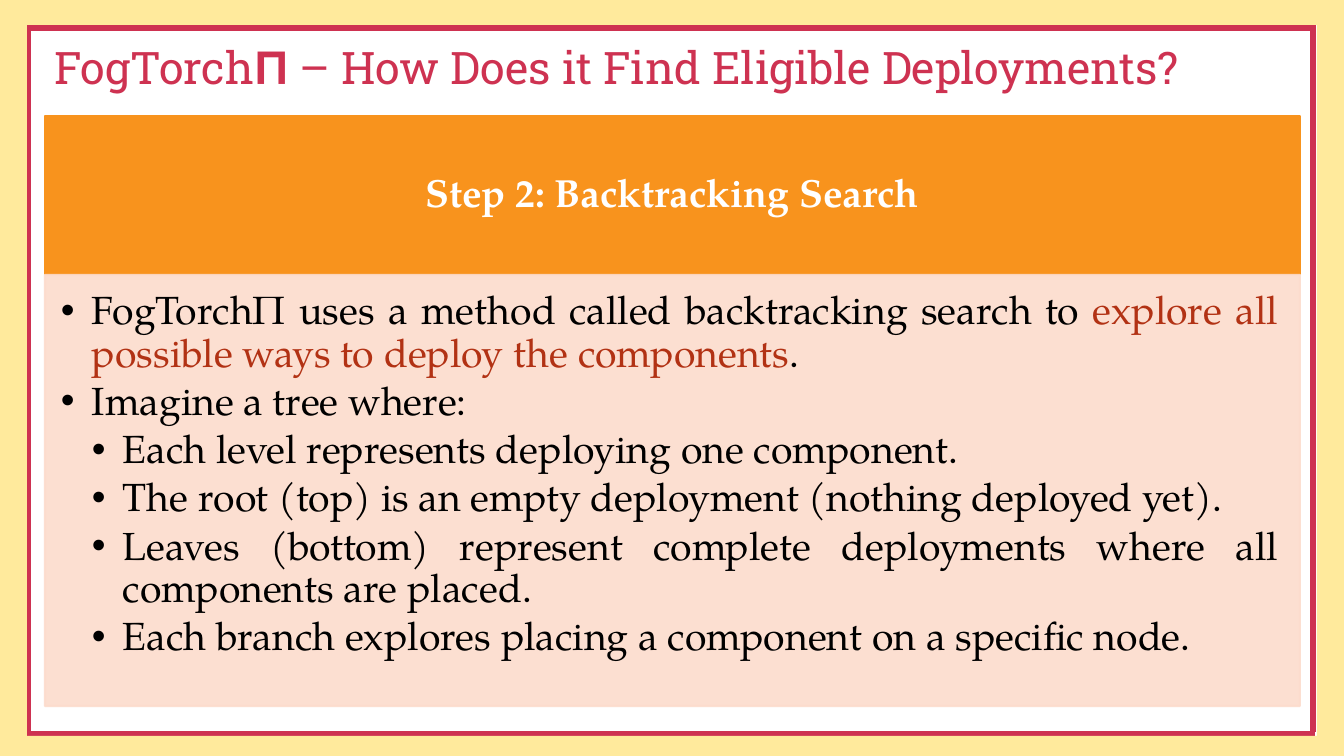
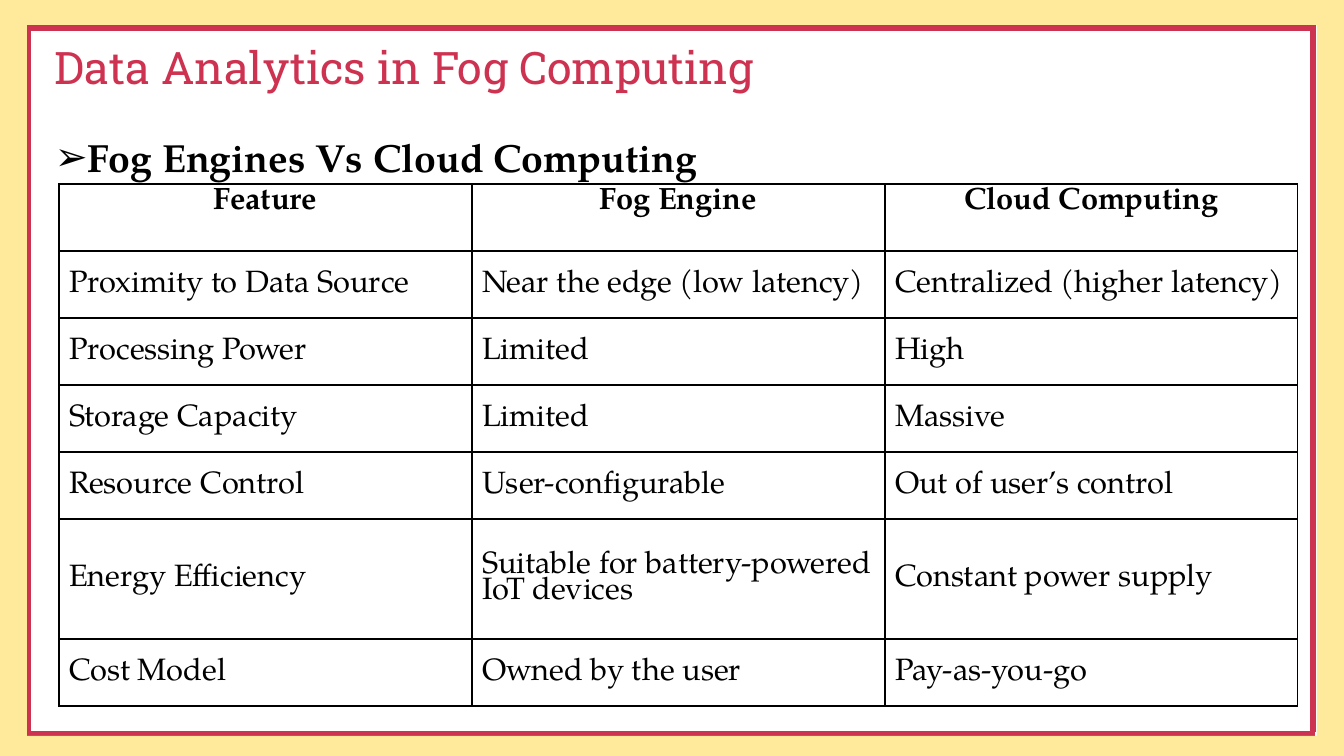
from lxml.etree import SubElement
from pptx import Presentation
from pptx.dml.color import RGBColor
from pptx.enum.shapes import MSO_CONNECTOR, MSO_SHAPE
from pptx.enum.text import MSO_ANCHOR, PP_ALIGN
from pptx.oxml import parse_xml
from pptx.oxml.ns import nsdecls, qn
from pptx.util import Emu, Pt

SLIDE_W, SLIDE_H = 1344, 756
EMU_PER_PX = 12192000 / SLIDE_W
COLORS = {
    "crimson": "CE3251",
    "cream": "FFEA9C",
    "orange": "F8931D",
    "peach": "FCDCCD",
    "rust": "B23214",
    "black": "000000",
    "white": "FFFFFF",
}
TITLE_FONT = "Roboto Slab"
BODY_FONT = "TeX Gyre Pagella"

FRAME_LINES = [
    (26, 734, 1315, 734),
    (28, 28, 28, 736),
    (27, 28, 1316, 28),
    (1313, 24, 1313, 732),
]
BANDS = [
    (0, 0, SLIDE_W, 25),
    (0, 736, SLIDE_W, 20),
    (0, 25, 27, 711),
    (1317, 25, 27, 711),
]
CONTENT_X, CONTENT_W = 45, 1255

SEARCH_POINTS = [
    (0, [("FogTorchΠ uses a method called backtracking search to ", "black"),
         ("explore all possible ways to deploy the components", "rust"),
         (".", "black")]),
    (0, [("Imagine a tree where:", "black")]),
    (1, [("Each level represents deploying one component.", "black")]),
    (1, [("The root (top) is an empty deployment (nothing deployed yet).", "black")]),
    (1, [("Leaves (bottom) represent complete deployments where all "
          "components are placed.", "black")]),
    (1, [("Each branch explores placing a component on a specific node.", "black")]),
]
COMPARISON = [
    ("Feature", "Fog Engine", "Cloud Computing"),
    ("Proximity to Data Source", "Near the edge (low latency)", "Centralized (higher latency)"),
    ("Processing Power", "Limited", "High"),
    ("Storage Capacity", "Limited", "Massive"),
    ("Resource Control", "User-configurable", "Out of user’s control"),
    ("Energy Efficiency", "Suitable for battery-powered IoT devices", "Constant power supply"),
    ("Cost Model", "Owned by the user", "Pay-as-you-go"),
]
ROW_HEIGHTS = [67, 67, 67, 67, 67, 120, 67]
COLUMN_W = 413


def px(*lengths):
    return [Emu(round(length * EMU_PER_PX)) for length in lengths]


def rgb(name):
    return RGBColor.from_string(COLORS[name])


def style_runs(paragraph, size, color, font=BODY_FONT, bold=False):
    for run in paragraph.runs:
        run.font.size = Pt(size)
        run.font.name = font
        run.font.bold = bold
        run.font.color.rgb = rgb(color)


def add_bullet(paragraph, char, left, hanging):
    margin, indent = px(left, -hanging)
    properties = paragraph._p.get_or_add_pPr()
    properties.set("marL", str(margin))
    properties.set("indent", str(indent))
    SubElement(properties, qn("a:buFont")).set("typeface", "Arial")
    SubElement(properties, qn("a:buChar")).set("char", char)


def add_block(slide, box, color, outlined=False, alpha=None):
    block = slide.shapes.add_shape(MSO_SHAPE.RECTANGLE, *px(*box))
    block.shadow.inherit = False
    block.fill.solid()
    block.fill.fore_color.rgb = rgb(color)
    if outlined:
        block.line.color.rgb = rgb(color)
        block.line.width = Pt(1.5)
    else:
        block.line.fill.background()
    if alpha:
        for tone in block._element.spPr.iter(qn("a:srgbClr")):
            SubElement(tone, qn("a:alpha")).set("val", str(alpha * 1000))
    return block


def set_insets(frame, left, top, right, bottom):
    (frame.margin_left, frame.margin_top,
     frame.margin_right, frame.margin_bottom) = px(left, top, right, bottom)


def add_text(slide, box, text, size, color, font, bold=False):
    frame = slide.shapes.add_textbox(*px(*box)).text_frame
    frame.word_wrap = True
    frame.text = text
    style_runs(frame.paragraphs[0], size, color, font, bold)
    return frame


def add_frame(slide):
    for ends in FRAME_LINES:
        edge = slide.shapes.add_connector(MSO_CONNECTOR.STRAIGHT, *px(*ends))
        edge.line.color.rgb = rgb("crimson")
        edge.line.width = Pt(4.5)
        SubElement(edge._element.spPr, qn("a:effectLst"))
    for band in BANDS:
        add_block(slide, band, "cream")


def add_titled_slide(deck, title):
    slide = deck.slides.add_slide(deck.slide_layouts[6])
    add_frame(slide)
    frame = add_text(slide, (CONTENT_X, 35, CONTENT_W, 70), title, 32, "crimson", TITLE_FONT)
    frame.vertical_anchor = MSO_ANCHOR.MIDDLE
    frame.paragraphs[0].line_spacing = 0.9
    return slide


def add_step_header(slide, text):
    header = add_block(slide, (CONTENT_X, 116, CONTENT_W, 158), "orange", outlined=True)
    frame = header.text_frame
    frame.word_wrap = True
    frame.vertical_anchor = MSO_ANCHOR.MIDDLE
    set_insets(frame, 22, 12, 22, 12)
    frame.text = text
    heading = frame.paragraphs[0]
    heading.alignment = PP_ALIGN.CENTER
    heading.line_spacing = 0.9
    style_runs(heading, 28, "white", bold=True)


def add_step_points(slide, points):
    panel = add_block(slide, (CONTENT_X, 275, CONTENT_W, 431), "peach", outlined=True, alpha=90)
    frame = panel.text_frame
    frame.word_wrap = True
    frame.vertical_anchor = MSO_ANCHOR.TOP
    set_insets(frame, 16, 16, 22, 24)
    for index, (level, pieces) in enumerate(points):
        point = frame.add_paragraph() if index else frame.paragraphs[0]
        point.level = level
        add_bullet(point, "•", 31 * (level + 1), 31)
        point.alignment = PP_ALIGN.JUSTIFY
        point.line_spacing = 0.9
        point.space_after = Pt(4.2)
        for text, color in pieces:
            point.add_run().text = text
        style_runs(point, 28, "black")
        for run, (text, color) in zip(point.runs, pieces):
            run.font.color.rgb = rgb(color)


def add_subheading(slide, text):
    frame = add_text(slide, (CONTENT_X, 105, CONTENT_W, 80), text, 28, "black", BODY_FONT, True)
    subheading = frame.paragraphs[0]
    add_bullet(subheading, "➢", 25, 25)
    subheading.alignment = PP_ALIGN.JUSTIFY
    subheading.line_spacing = 1.5


def add_borders(cell):
    properties = cell._tc.get_or_add_tcPr()
    for position, side in enumerate(("lnL", "lnR", "lnT", "lnB")):
        properties.insert(position, parse_xml(
            f'<a:{side} {nsdecls("a")} w="12700"><a:solidFill>'
            f'<a:srgbClr val="{COLORS["black"]}"/></a:solidFill></a:{side}>'))


def add_comparison(slide, rows):
    columns = len(rows[0])
    box = (59, 184, COLUMN_W * columns, sum(ROW_HEIGHTS))
    table = slide.shapes.add_table(len(rows), columns, *px(*box)).table
    table.first_row = False
    table.horz_banding = False
    for column in table.columns:
        column.width, = px(COLUMN_W)
    for row, height in zip(table.rows, ROW_HEIGHTS):
        row.height, = px(height)
    for row_index, texts in enumerate(rows):
        is_header = row_index == 0
        for column_index, text in enumerate(texts):
            cell = table.cell(row_index, column_index)
            cell.fill.background()
            add_borders(cell)
            cell.vertical_anchor = MSO_ANCHOR.TOP if is_header else MSO_ANCHOR.MIDDLE
            cell.text_frame.text = text
            entry = cell.text_frame.paragraphs[0]
            entry.alignment = PP_ALIGN.CENTER if is_header else PP_ALIGN.LEFT
            entry.line_spacing = 0.85
            style_runs(entry, 22, "black", bold=is_header)


def main():
    deck = Presentation()
    deck.slide_width, deck.slide_height = px(SLIDE_W, SLIDE_H)

    search = add_titled_slide(deck, "FogTorch𝚷 – How Does it Find Eligible Deployments?")
    add_step_header(search, "Step 2: Backtracking Search")
    add_step_points(search, SEARCH_POINTS)

    analytics = add_titled_slide(deck, "Data Analytics in Fog Computing")
    add_subheading(analytics, "Fog Engines Vs Cloud Computing")
    add_comparison(analytics, COMPARISON)

    deck.save("out.pptx")


if __name__ == "__main__":
    main()
